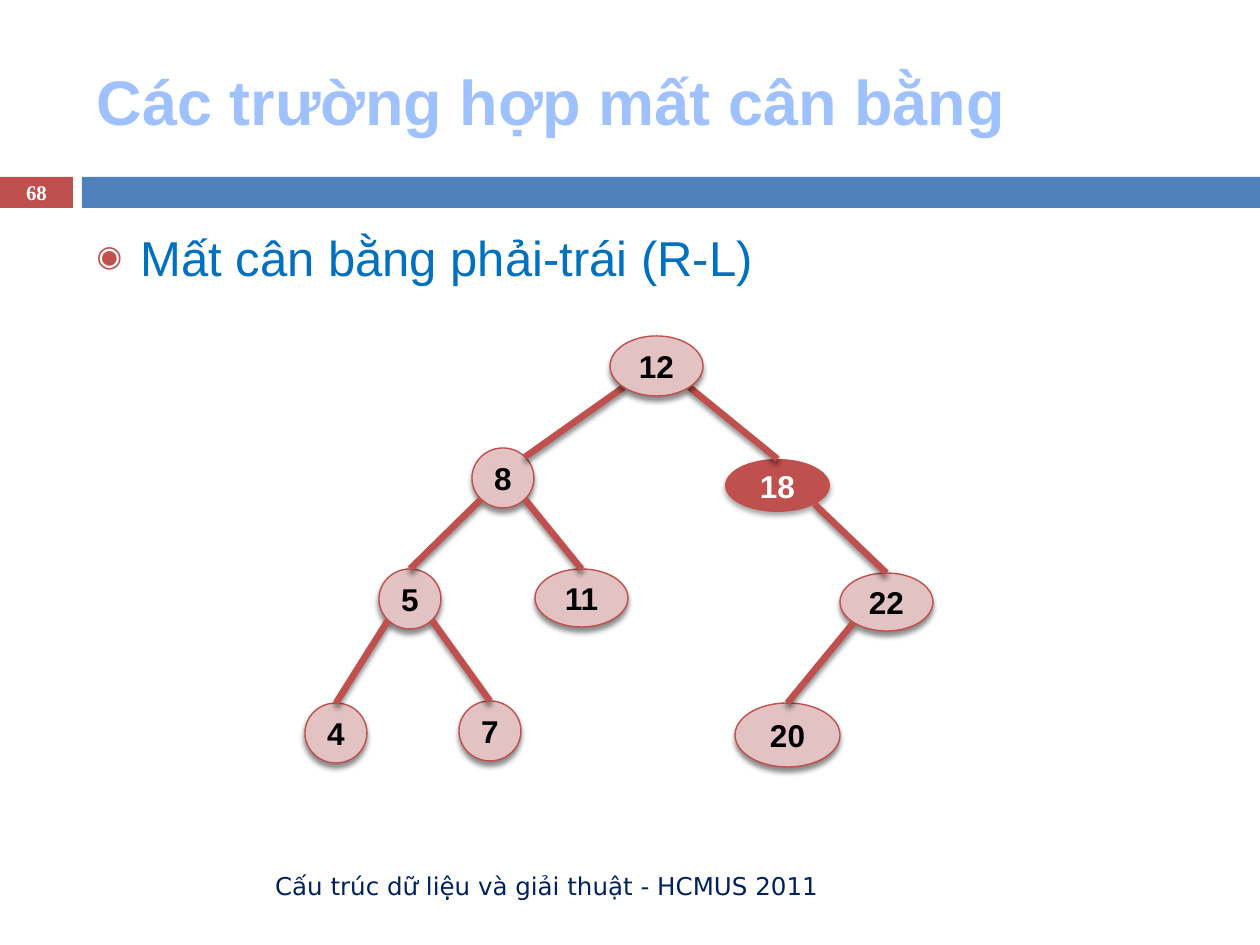
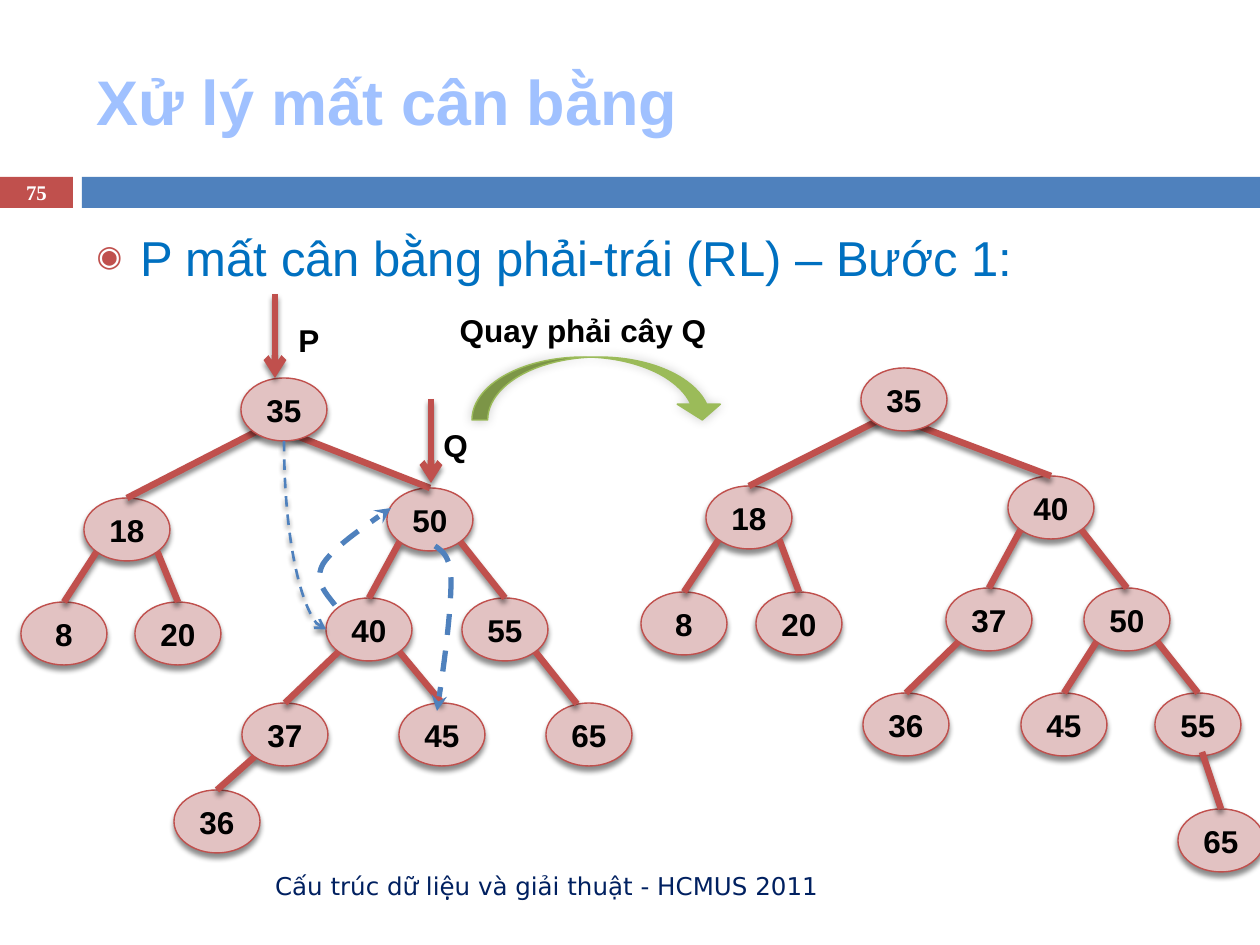
from dataclasses import dataclass

from lxml.etree import SubElement
from pptx import Presentation
from pptx.dml.color import RGBColor
from pptx.enum.dml import MSO_LINE
from pptx.enum.shapes import MSO_CONNECTOR, MSO_SHAPE
from pptx.enum.text import MSO_ANCHOR, MSO_AUTO_SIZE, PP_ALIGN
from pptx.oxml.ns import qn
from pptx.util import Pt

PX = 914400 / 126
RECT, OVAL, ARC = MSO_SHAPE.RECTANGLE, MSO_SHAPE.OVAL, MSO_SHAPE.CURVED_DOWN_ARROW
LINE, CURVE = MSO_CONNECTOR.STRAIGHT, MSO_CONNECTOR.CURVE
LEFT, MID, RIGHT = PP_ALIGN.LEFT, PP_ALIGN.CENTER, PP_ALIGN.RIGHT
MIDDLE, TOP = MSO_ANCHOR.MIDDLE, MSO_ANCHOR.TOP
DASH, FIXED = MSO_LINE.DASH, MSO_AUTO_SIZE.NONE


@dataclass(frozen=True)
class Theme:
    red: str = "C0504D"
    blue: str = "4F81BD"
    pink: str = "E2C2C2"
    green: str = "9BBB59"
    title: str = "A0C1FF"
    body: str = "0070C0"
    navy: str = "002060"
    black: str = "000000"
    white: str = "FFFFFF"
    sans: str = "Arial"
    serif: str = "Times New Roman"
    foot: str = "DejaVu Sans"
    title_pt: float = 36
    body_pt: float = 28
    node_pt: float = 18
    foot_pt: float = 14
    page_pt: float = 11.9
    edge_pt: float = 3.75
    rim_pt: float = 0.79


T = Theme()
# Shadows: opacity %, blur pt, distance pt, angle
SOFT, DIM, GLOW = (45, 3, 2.4, 90), (35, 3, 2, 90), (20, 6, 0, 315)


def px(*nums):
    return [round(n * PX) for n in nums]


def rgb(code):
    return RGBColor.from_string(code)


def shade(shape, cast=None):
    """Set the effect list, with or without a shadow; call after fill and line."""
    props = shape.element.spPr
    for old in props.findall(qn("a:effectLst")):
        props.remove(old)
    fx = SubElement(props, qn("a:effectLst"))
    if cast:
        alpha, blur, dist, angle = cast
        drop = SubElement(fx, qn("a:outerShdw"), blurRad=str(Pt(blur)),
                          dist=str(Pt(dist)), dir=str(angle * 60000), rotWithShape="0")
        color = SubElement(drop, qn("a:srgbClr"), val=T.black)
        SubElement(color, qn("a:alpha"), val=str(alpha * 1000))


def stroke(shape, color, width, tip=None, dash=None):
    shape.line.color.rgb = rgb(color)
    shape.line.width = Pt(width)
    if dash:
        shape.line.dash_style = dash
    if tip:
        SubElement(shape.line._get_or_add_ln(), qn("a:tailEnd"), type=tip)


def write(frame, text, size, color, font=T.sans, bold=True, align=LEFT, anchor=TOP):
    frame.word_wrap = True
    frame.auto_size = FIXED
    frame.vertical_anchor = anchor
    para = frame.paragraphs[0]
    para.alignment = align
    run = para.add_run()
    run.text = text
    run.font.name, run.font.size, run.font.bold = font, Pt(size), bold
    run.font.color.rgb = rgb(color)
    return para


def label(slide, box, text, size=T.node_pt, color=T.black, **style):
    frame = slide.shapes.add_textbox(*px(*box)).text_frame
    write(frame, text, size, color, **style)


def solid(slide, kind, box, fill):
    shape = slide.shapes.add_shape(kind, *px(*box))
    shape.fill.solid()
    shape.fill.fore_color.rgb = rgb(fill)
    shape.line.fill.background()
    shade(shape)
    return shape


def bands(slide, layout):
    """Draw the two bands and move them into the layout."""
    for box, fill in (((0, 177, 73, 31), T.red), ((82, 177, 1178, 31), T.blue)):
        layout.shapes.element.append(solid(slide, RECT, box, fill).element)


def place(shape, box):
    shape.left, shape.top, shape.width, shape.height = px(*box)


def bullet(para):
    props = para._p.get_or_add_pPr()
    props.set("marL", str(px(44)[0]))
    props.set("indent", str(px(-44)[0]))
    SubElement(SubElement(props, qn("a:buClr")), qn("a:srgbClr"), val=T.red)
    SubElement(props, qn("a:buSzPct"), val="60000")
    SubElement(props, qn("a:buChar"), char="◉")
    para.space_before = Pt(0)


def page(deck, layout, title, point, number):
    slide = deck.slides.add_slide(layout)
    head, body = slide.placeholders
    place(head, (84, 32, 1124, 136))
    write(head.text_frame, title, T.title_pt, T.title, anchor=MIDDLE)
    place(body, (84, 221, 1124, 620))
    bullet(write(body.text_frame, point, T.body_pt, T.body, bold=False))
    label(slide, (84, 861, 747, 50), "Cấu trúc dữ liệu và giải thuật - HCMUS 2011",
          T.foot_pt, T.navy, font=T.foot, bold=False, align=RIGHT, anchor=MIDDLE)
    label(slide, (0, 175, 73, 34), number, T.page_pt, T.white, font=T.serif,
          align=MID, anchor=MIDDLE)
    return slide


def node(slide, text, box, hot=False):
    oval = solid(slide, OVAL, box, T.red if hot else T.pink)
    if not hot:
        stroke(oval, T.red, T.rim_pt)
    shade(oval, DIM if hot else SOFT)
    frame = oval.text_frame
    frame.margin_left = frame.margin_right = frame.margin_top = frame.margin_bottom = 0
    write(frame, text, T.node_pt, T.white if hot else T.black, align=MID, anchor=MIDDLE)
    return oval


def line(slide, start, end, tip=None):
    link = slide.shapes.add_connector(LINE, *start, *end)
    stroke(link, T.red, T.edge_pt, tip)
    shade(link, SOFT)
    return link


def spot(oval, shift):
    x, y = px(*shift)
    return oval.left + x, oval.top + y


def corner(up, low):
    """Point on the lower rim of up, at 45 degrees, on the side of low."""
    side = 1 if low.left + low.width / 2 > up.left + up.width / 2 else -1
    half = 0.5 ** 0.5 / 2
    return (round(up.left + up.width * (0.5 + side * half)),
            round(up.top + up.height * (0.5 + half)))


def edge(slide, up, low, start=None, end=None):
    """Join up to the top of low; start and end are shifts from their corners."""
    first = spot(up, start) if start else corner(up, low)
    last = spot(low, end) if end else (low.left + low.width // 2, low.top)
    link = line(slide, first, last)
    if not end:
        link.end_connect(low, 0)


def tree(slide, spots, edges, size=(86, 63), hot=None):
    """Draw nodes and edges; the first node, the root, lies on top."""
    nodes = {key: node(slide, key, (*box, *size)[:4], key == hot)
             for key, box in spots.items()}
    for up, low, *ends in edges:
        edge(slide, nodes[up], nodes[low], *ends)
    slide.shapes.element.append(next(iter(nodes.values())).element)
    return nodes


def swoop(slide, start, *curves):
    """Dashed arrow along cubic curves, each given by three points."""
    steps, points, at = 12, [], start
    for a, b, c in curves:
        for i in range(1, steps + 1):
            t = i / steps
            u = 1 - t
            points.append(px(*(u**3 * p + 3 * u * u * t * q + 3 * u * t * t * r + t**3 * s
                               for p, q, r, s in zip(at, a, b, c))))
        at = c
    pen = slide.shapes.build_freeform(*px(*start))
    pen.add_line_segments(points, close=False)
    shape = pen.convert_to_shape()
    shape.fill.background()
    stroke(shape, T.blue, 3, "stealth", DASH)
    shade(shape)


def bend(slide, up, low):
    """Dashed curve from the bottom of up to the left side of low."""
    x, y = up.left + up.width // 2, up.top + up.height
    wide, tall = low.left - x, low.top + low.height // 2 - y
    left, top = x + (wide - tall) // 2, y + (tall - wide) // 2
    link = slide.shapes.add_connector(CURVE, left, top, left + tall, top + wide)
    link.element.spPr.find(qn("a:prstGeom")).set("prst", "curvedConnector2")
    turn = link.element.spPr.find(qn("a:xfrm"))
    turn.set("rot", str(270 * 60000))
    turn.set("flipH", "1")
    joins = link.element.nvCxnSpPr.cNvCxnSpPr
    for tag, oval, site in (("a:stCxn", up, "4"), ("a:endCxn", low, "2")):
        SubElement(joins, qn(tag), id=str(oval.shape_id), idx=site)
    stroke(link, T.blue, 1.5, "arrow", DASH)
    shade(link, SOFT)


def cases(slide):
    spots = {"12": (610, 336, 93, 60), "8": (472, 448, 62, 60), "5": (379, 569, 62, 60),
             "11": (535, 569, 93, 58), "18": (725, 459, 105, 53),
             "22": (840, 573, 93, 58), "20": (735, 703, 105, 64),
             "4": (305, 703, 62, 60), "7": (459, 701, 62, 60)}
    edges = [("12", "8", None, (53, 9)), ("12", "18"), ("8", "5"), ("8", "11"),
             ("5", "4"), ("5", "7"), ("18", "22"), ("22", "20")]
    tree(slide, spots, edges, hot="18")


def step(slide):
    to_left, to_right = (34, 44), (20, 44)
    shared = [("35", "18", to_left), ("18", "8"), ("18", "20")]
    before = {"35": (241, 378), "18": (84, 498), "8": (21, 602), "20": (135, 602),
              "50": (387, 488), "55": (462, 598), "40": (326, 598), "37": (242, 703),
              "45": (399, 703), "36": (174, 790), "65": (546, 703)}
    after = {"35": (861, 368), "18": (706, 486), "8": (641, 592), "20": (756, 592),
             "40": (1008, 476), "50": (1084, 588), "37": (946, 588), "55": (1155, 693),
             "36": (863, 693), "45": (1021, 693), "65": (1178, 809)}
    nodes = tree(slide, before, shared + [
        ("35", "50", to_right), ("50", "40"), ("50", "55"), ("40", "37"),
        ("40", "45"), ("37", "36"), ("55", "65", None, (31, 1))])
    tree(slide, after, shared + [
        ("35", "40", to_right), ("40", "37"), ("40", "50"), ("37", "36"),
        ("50", "45"), ("50", "55"), ("55", "65", (47, 59))])

    turn = solid(slide, ARC, (472, 357, 252, 63), T.green)
    for i, part in enumerate((0.25, 0.686, 0.25)):
        turn.adjustments[i] = part
    stroke(turn, T.green, T.rim_pt)
    shade(turn, GLOW)
    label(slide, (441, 305, 284, 50), "Quay phải cây Q", align=MID)
    label(slide, (286, 315, 73, 50), "P")
    label(slide, (431, 420, 73, 50), "Q")
    for x, y in ((275, 294), (431, 399)):
        line(slide, px(x, y), px(x, y + 84), "arrow")
    swoop(slide, (335, 605), ((325, 592), (314, 581), (323, 564)),
          ((333, 548), (362, 528), (391, 508)))
    swoop(slide, (435, 546), ((442, 551), (451, 556), (451, 582)),
          ((451, 610), (445, 660), (437, 711)))
    bend(slide, nodes["35"], nodes["40"])


def main():
    deck = Presentation()
    deck.slide_width, deck.slide_height = px(1260, 945)
    layout = deck.slide_layouts[1]
    first = page(deck, layout, "Các trường hợp mất cân bằng",
                 "Mất cân bằng phải-trái (R-L)", "68")
    bands(first, layout)
    cases(first)
    step(page(deck, layout, "Xử lý mất cân bằng",
              "P mất cân bằng phải-trái (RL) – Bước 1:", "75"))
    deck.save("out.pptx")


if __name__ == "__main__":
    main()
